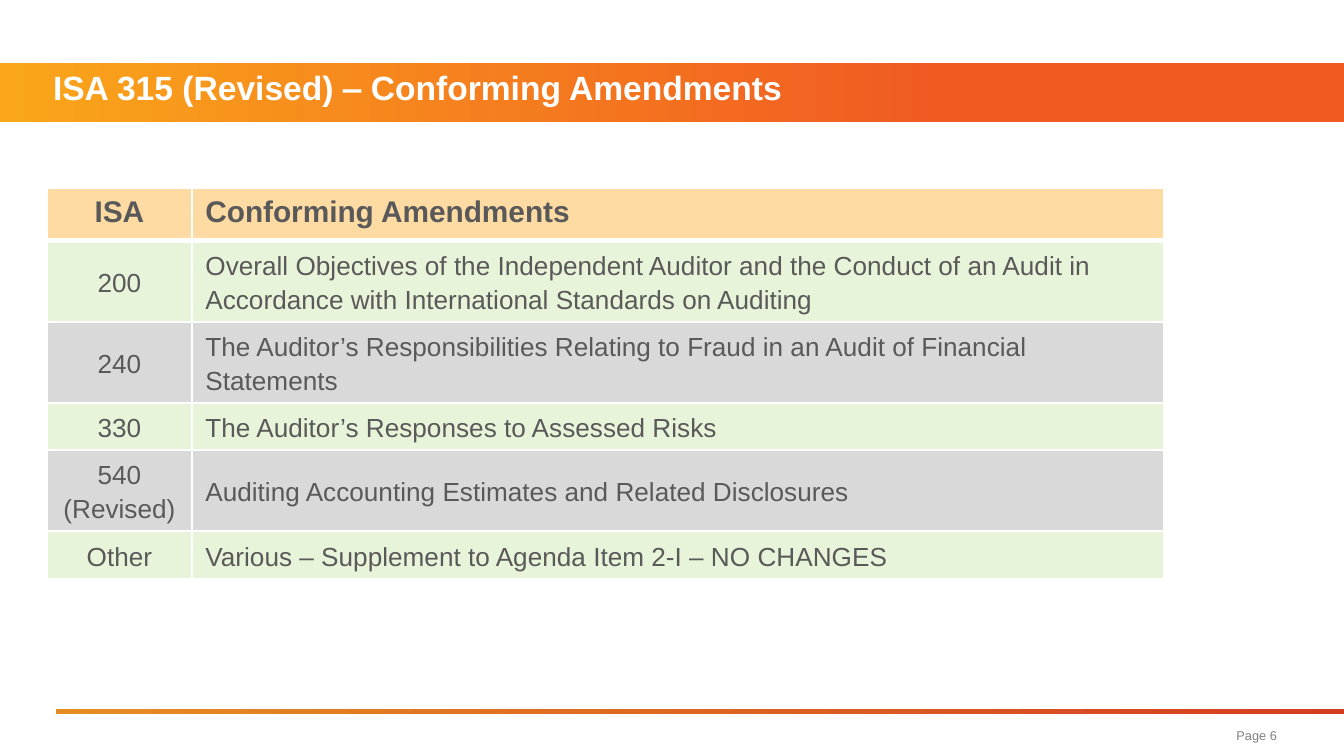
"""Build the ISA 315 conforming amendments slide."""
from dataclasses import dataclass

from lxml import etree
from pptx import Presentation
from pptx import util as u
from pptx.dml.color import RGBColor
from pptx.enum import shapes, text
from pptx.oxml.ns import qn

PX = 6804


@dataclass(frozen=True)
class Theme:
    font: str = "Arial"
    white: str = "FFFFFF"
    ink: str = "595959"
    muted: str = "808080"
    header: str = "FDDBA3"
    bands: tuple[str, str] = ("E8F4D9", "D9D9D9")
    title_size: float = 18
    header_size: float = 16
    body_size: float = 14
    page_size: float = 6.8
    leading: float = 18
    rule: float = 1
    header_rule: float = 3


@dataclass(frozen=True)
class Box:
    left: int
    top: int
    width: int
    height: int

    def emu(self) -> tuple[int, ...]:
        return tuple(v * PX for v in (self.left, self.top, self.width, self.height))


@dataclass(frozen=True)
class Bar:
    box: Box
    start: str
    end: str
    end_position: float


@dataclass(frozen=True)
class Row:
    isa: str
    amendment: str
    height: int


THEME = Theme()
BARS = (
    Bar(Box(0, 63, 1344, 59), "FAA61A", "F15A22", 0.7),
    Bar(Box(56, 709, 1288, 5), "E58D23", "D53D20", 1),
)
TITLE_BOX = Box(53, 58, 1223, 59)
PAGE_BOX = Box(1047, 718, 230, 34)
COLUMNS = (145, 972)
ROWS = (
    Row("ISA", "Conforming Amendments", 53),
    Row("200", "Overall Objectives of the Independent Auditor and the Conduct of "
        "an Audit in Accordance with International Standards on Auditing", 81),
    Row("240", "The Auditor’s Responsibilities Relating to Fraud in an Audit of "
        "Financial Statements", 81),
    Row("330", "The Auditor’s Responses to Assessed Risks", 47),
    Row("540 (Revised)", "Auditing Accounting Estimates and Related Disclosures", 81),
    Row("Other", "Various – Supplement to Agenda Item 2-I – NO CHANGES", 48),
)
TABLE_BOX = Box(47, 188, sum(COLUMNS), sum(r.height for r in ROWS))


def style(p, size: float, color: str, align, bold: bool = False) -> None:
    p.alignment = align
    p.font.name = THEME.font
    p.font.size = u.Pt(size)
    p.font.bold = bold
    p.font.color.rgb = RGBColor.from_string(color)


def draw_bar(slide, bar: Bar) -> None:
    sp = slide.shapes.add_shape(shapes.MSO_SHAPE.RECTANGLE, *bar.box.emu())
    sp.shadow.inherit = False
    sp.line.fill.background()
    sp.fill.gradient()
    sp.fill.gradient_angle = 0
    stops = zip(sp.fill.gradient_stops, (bar.start, bar.end), (0, bar.end_position))
    for stop, color, position in stops:
        stop.color.rgb = RGBColor.from_string(color)
        stop.position = position


def write_line(sp, words: str, size: float, color: str, align, bold: bool = False) -> None:
    tf = sp.text_frame
    tf.word_wrap = True
    tf.auto_size = text.MSO_AUTO_SIZE.NONE
    tf.vertical_anchor = text.MSO_ANCHOR.MIDDLE
    tf.margin_left = tf.margin_top = tf.margin_right = tf.margin_bottom = 0
    tf.text = words
    style(tf.paragraphs[0], size, color, align, bold)


def draw_title(slide, words: str) -> None:
    sp = slide.shapes.title
    sp.left, sp.top, sp.width, sp.height = TITLE_BOX.emu()
    write_line(sp, words, THEME.title_size, THEME.white, text.PP_ALIGN.LEFT, True)
    slide.shapes.element.append(sp.element)


def set_borders(cell, top: float, bottom: float) -> None:
    tc_pr = cell._tc.get_or_add_tcPr()
    widths = {"L": THEME.rule, "R": THEME.rule, "T": top, "B": bottom}
    for side, width in widths.items():
        ln = etree.SubElement(tc_pr, qn(f"a:ln{side}"), w=str(u.Pt(width)))
        fill = etree.SubElement(ln, qn("a:solidFill"))
        etree.SubElement(fill, qn("a:srgbClr"), val=THEME.white)


def draw_table(slide, rows: tuple[Row, ...]) -> None:
    frame = slide.shapes.add_table(len(rows), len(COLUMNS), *TABLE_BOX.emu())
    table = frame.table
    table.horz_banding = False
    for column, width in zip(table.columns, COLUMNS):
        column.width = width * PX
    for i, row in enumerate(rows):
        table.rows[i].height = row.height * PX
        header = i == 0
        fill = THEME.header if header else THEME.bands[(i - 1) % 2]
        size = THEME.header_size if header else THEME.body_size
        top = THEME.header_rule if i == 1 else THEME.rule
        bottom = THEME.header_rule if header else THEME.rule
        aligns = (text.PP_ALIGN.CENTER, text.PP_ALIGN.LEFT)
        for j, (words, align) in enumerate(zip((row.isa, row.amendment), aligns)):
            cell = table.cell(i, j)
            set_borders(cell, top, bottom)
            cell.fill.solid()
            cell.fill.fore_color.rgb = RGBColor.from_string(fill)
            cell.vertical_anchor = text.MSO_ANCHOR.TOP if header else text.MSO_ANCHOR.MIDDLE
            cell.text = words
            p = cell.text_frame.paragraphs[0]
            p.line_spacing = u.Pt(THEME.leading)
            style(p, size, THEME.ink, align, header)


def main() -> None:
    prs = Presentation()
    prs.slide_width, prs.slide_height = 1344 * PX, 756 * PX
    slide = prs.slides.add_slide(prs.slide_layouts[5])
    for bar in BARS:
        draw_bar(slide, bar)
    draw_title(slide, "ISA 315 (Revised) ‒ Conforming Amendments")
    page = slide.shapes.add_textbox(*PAGE_BOX.emu())
    write_line(page, "Page 6", THEME.page_size, THEME.muted, text.PP_ALIGN.RIGHT)
    draw_table(slide, ROWS)
    prs.save("out.pptx")


if __name__ == "__main__":
    main()
